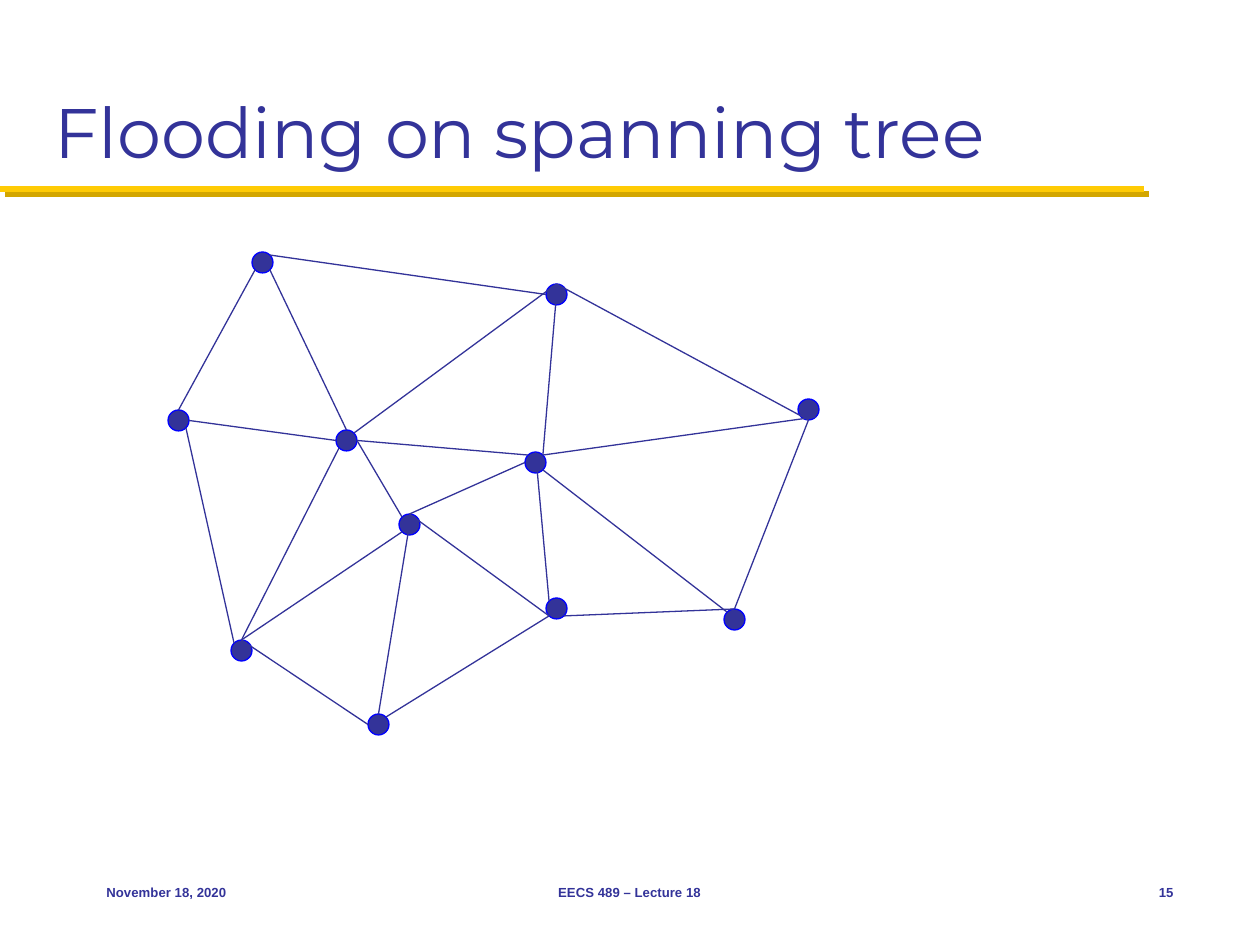
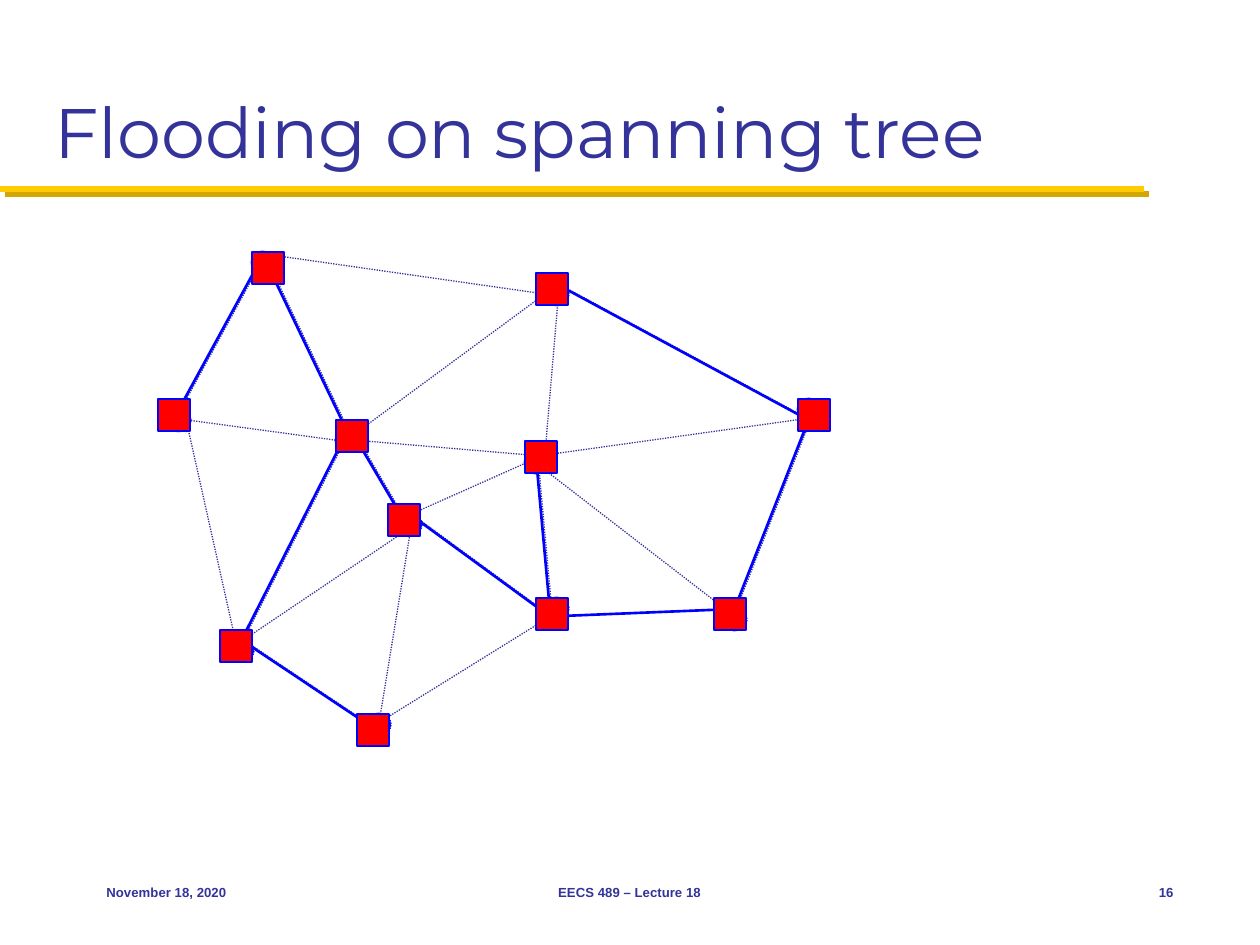
"""Two lecture slides: a network graph and its spanning tree."""
from dataclasses import dataclass
from math import sqrt

from lxml import etree
from pptx import Presentation
from pptx import util as u
from pptx.dml.color import RGBColor
from pptx.enum import dml, shapes, text
from pptx.oxml.ns import qn

EMU_PER_PX = u.Inches(1) / 126


@dataclass(frozen=True)
class Theme:
    """Colours, fonts and sizes that both slides share."""
    ink: str = "333399"
    edge: str = "0000FF"
    marker: str = "FF0000"
    band: str = "FFCB05"
    band_shadow: str = "D3A600"
    title_font: str = "Montserrat"
    footer_font: str = "Arial"
    title_size: float = 40
    footer_size: float = 7.5
    thin: float = 0.75
    thick: float = 1.5
    band_width: float = 3.5


THEME = Theme()
TITLE = "Flooding on spanning tree"
DATE = "November 18, 2020"
COURSE = "EECS 489 – Lecture 18"

NODE_SIZE = 21
MARKER_SIZE = 32
DOTTED_SHIFT = 2

# Left and top of each node, then of the square that marks it.
NODES = {
    "A": ((252, 252), (252, 252)),
    "B": ((168, 410), (158, 399)),
    "C": ((546, 284), (536, 273)),
    "D": ((546, 598), (536, 598)),
    "E": ((368, 714), (357, 714)),
    "F": ((336, 430), (336, 420)),
    "G": ((798, 399), (798, 399)),
    "H": ((399, 514), (388, 504)),
    "I": ((231, 640), (220, 630)),
    "J": ((525, 452), (525, 441)),
    "K": ((724, 609), (714, 598)),
}

# Each end is a node and the compass point where the line touches it.
TREE_EDGES = [
    "A.se F.n", "A.sw B.n", "F.e H.nw", "C.n G.s", "G.s K.n",
    "I.n E.w", "H.n D.sw", "K.n D.se", "J.n D.nw", "I.n F.sw",
]
OTHER_EDGES = [
    "B.se I.nw", "J.se K.nw", "C.mid J.ne", "H.mid E.n", "F.e J.nw", "B.e F.w",
    "I.n H.sw", "E.ne D.sw", "H.n J.w", "J.ne G.se", "A.ne C.w", "F.ne C.n",
]

DIAGONAL = 1 / sqrt(2)
COMPASS = {
    "mid": (0, 0), "n": (0, -1), "e": (1, 0), "s": (0, 1), "w": (-1, 0),
    "ne": (DIAGONAL, -DIAGONAL), "se": (DIAGONAL, DIAGONAL),
    "sw": (-DIAGONAL, DIAGONAL), "nw": (-DIAGONAL, -DIAGONAL),
}


def px(*lengths):
    """Turn pixels into a list of EMU lengths."""
    return [u.Emu(round(n * EMU_PER_PX)) for n in lengths]


def rgb(colour):
    """Turn a hex string into a colour."""
    return RGBColor.from_string(colour)


def style_line(line, colour, width, dotted=False):
    """Set the colour, width and dash of a line."""
    line.color.rgb = rgb(colour)
    line.width = u.Pt(width)
    if dotted:
        line.dash_style = dml.MSO_LINE.ROUND_DOT


def add_line(parent, start, end, colour, width, dotted=False):
    """Add a straight connector with an empty effect list."""
    sp = parent.add_connector(shapes.MSO_CONNECTOR.STRAIGHT, *px(*start, *end))
    style_line(sp.line, colour, width, dotted)
    etree.SubElement(sp.element.spPr, qn("a:effectLst"))
    return sp


def add_mark(parent, kind, corner, size, fill, width, dotted=False):
    """Add a filled node or marker with a blue outline."""
    sp = parent.add_shape(kind, *px(*corner, size, size))
    sp.shadow.inherit = False
    sp.fill.solid()
    sp.fill.fore_color.rgb = rgb(fill)
    style_line(sp.line, THEME.edge, width, dotted)
    return sp


def write(tf, content, font, size, align, anchor, bold=False):
    """Put one formatted paragraph into a text frame."""
    tf.word_wrap = True
    tf.auto_size = text.MSO_AUTO_SIZE.NONE
    tf.vertical_anchor = anchor
    p = tf.paragraphs[0]
    p.alignment = align
    r = p.add_run()
    r.text = content
    r.font.name = font
    r.font.size = u.Pt(size)
    r.font.bold = bold
    r.font.color.rgb = rgb(THEME.ink)


def touch_point(end, shift):
    """Find where an edge end such as 'A.se' touches its node."""
    node, side = end.split(".")
    (left, top), _ = NODES[node]
    dx, dy = COMPASS[side]
    radius = NODE_SIZE / 2
    return left + shift + radius * (1 + dx), top + radius * (1 + dy)


def add_graph(parent, edges, edge_colour, width, dotted=False, shift=0):
    """Draw every node, then the given edges."""
    for (left, top), _ in NODES.values():
        add_mark(parent, shapes.MSO_SHAPE.OVAL, (left + shift, top),
                 NODE_SIZE, THEME.ink, width, dotted)
    for edge in edges:
        start, end = (touch_point(e, shift) for e in edge.split())
        add_line(parent, start, end, edge_colour, width, dotted)


def add_markers(parent):
    """Cover every node with a red square."""
    for _, corner in NODES.values():
        add_mark(parent, shapes.MSO_SHAPE.RECTANGLE, corner, MARKER_SIZE,
                 THEME.marker, THEME.thick)


def add_band(slide, layout):
    """Draw the shadowed title band and move it to the shared layout."""
    band = add_line(slide.shapes, (0, 189), (1144, 189), THEME.band, THEME.band_width)
    effects = band.element.spPr.find(qn("a:effectLst"))
    shadow = etree.SubElement(effects, qn("a:outerShdw"), dist=str(u.Pt(4.24)),
                              dir="2700000", algn="ctr", rotWithShape="0")
    etree.SubElement(shadow, qn("a:srgbClr"), val=THEME.band_shadow)
    layout.shapes.element.append(band.element)


def add_footer(slide, number):
    """Add the date, course and slide number."""
    align = text.PP_ALIGN
    for content, left, width, side in (
            (DATE, 94, 263, align.LEFT),
            (COURSE, 430, 399, align.CENTER),
            (str(number), 1102, 84, align.RIGHT)):
        sp = slide.shapes.add_textbox(*px(left, 861, width, 63))
        write(sp.text_frame, content, THEME.footer_font, THEME.footer_size,
              side, text.MSO_ANCHOR.MIDDLE, bold=True)


def add_slide(prs, layout, number):
    """Start a slide with the shared title and footer."""
    slide = prs.slides.add_slide(layout)
    title = slide.shapes.title
    title.left, title.top, title.width, title.height = px(42, 21, 1176, 158)
    write(title.text_frame, TITLE, THEME.title_font, THEME.title_size,
          text.PP_ALIGN.LEFT, text.MSO_ANCHOR.BOTTOM)
    add_footer(slide, number)
    return slide


def main():
    """Build both slides and save them."""
    prs = Presentation()
    prs.slide_width, prs.slide_height = px(1260, 945)
    layout = prs.slide_layouts.get_by_name("Title Only")
    all_edges = TREE_EDGES + OTHER_EDGES

    network = add_slide(prs, layout, 15)
    add_band(network, layout)
    add_graph(network.shapes.add_group_shape().shapes, all_edges,
              THEME.ink, THEME.thin)

    tree = add_slide(prs, layout, 16)
    add_graph(tree.shapes.add_group_shape().shapes, all_edges,
              THEME.ink, THEME.thin, dotted=True, shift=DOTTED_SHIFT)
    add_graph(tree.shapes, TREE_EDGES, THEME.edge, THEME.thick)
    add_markers(tree.shapes)

    prs.save("out.pptx")


main()
